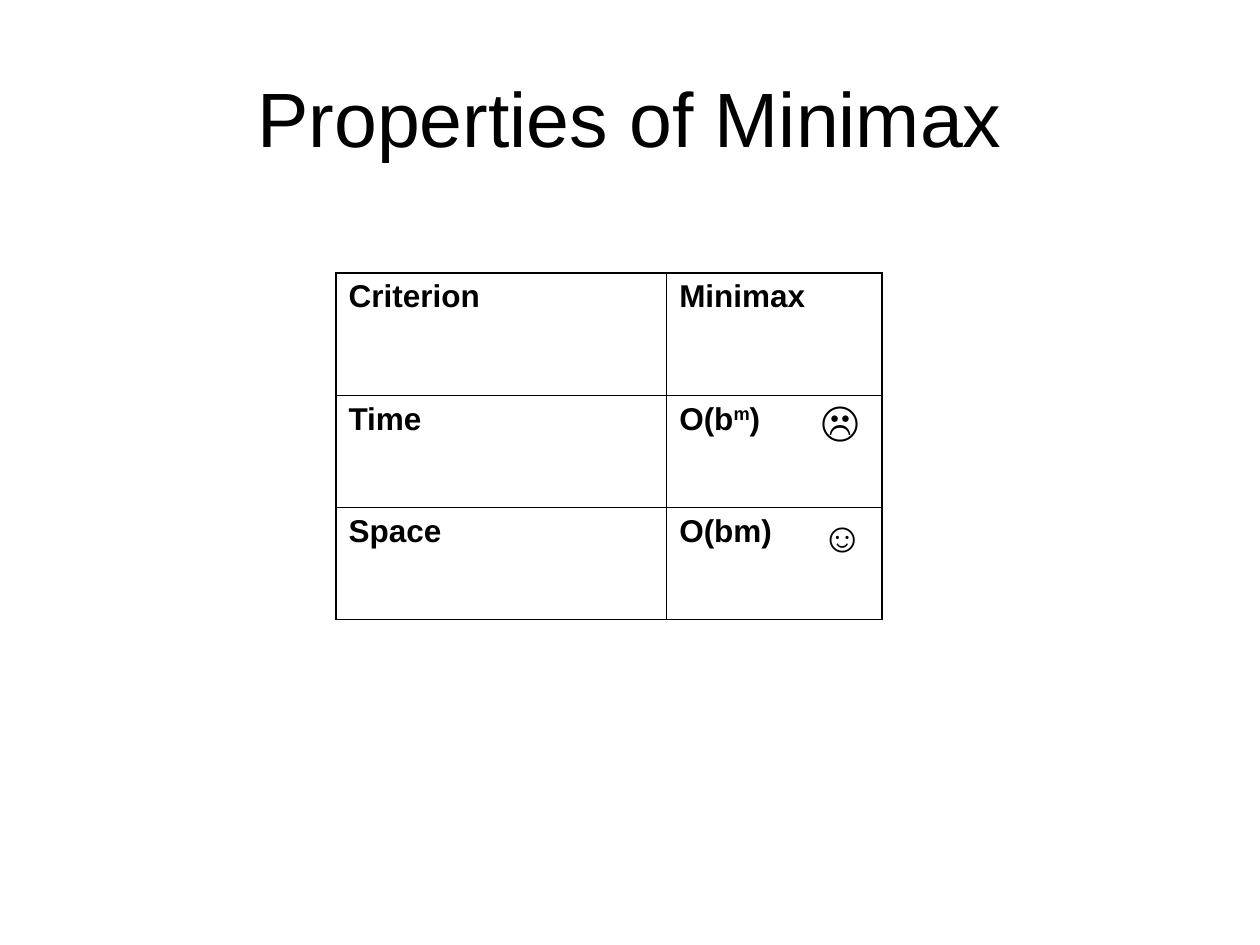
from lxml import etree
from pptx import Presentation
from pptx.dml.color import RGBColor
from pptx.enum import text
from pptx.oxml import ns
from pptx.util import Pt

BLACK = RGBColor(0, 0, 0)
WHITE = RGBColor(255, 255, 255)
THIN, THICK = 0.45, 1.08


class SlideBuilder:
    font = "Arial"

    def __init__(self, deck):
        self.page = deck.slides.add_slide(deck.slide_layouts[5])
        self.page.background.fill.solid()
        self.page.background.fill.fore_color.rgb = WHITE

    def span(self, para, wording, size, bold=False, baseline=0):
        span = para.add_run()
        span.text = wording
        span.font.name = self.font
        span.font.size = Pt(size)
        span.font.bold = bold
        span.font.color.rgb = BLACK
        if baseline:
            span.font._element.set("baseline", str(baseline * 1000))

    def place(self, box, left, top, width, height):
        box.left, box.top = Pt(left), Pt(top)
        box.width, box.height = Pt(width), Pt(height)

    def title(self, wording, *bounds):
        box = self.page.shapes.title
        self.place(box, *bounds)
        box.text_frame.vertical_anchor = text.MSO_ANCHOR.MIDDLE
        para = box.text_frame.paragraphs[0]
        para.alignment = text.PP_ALIGN.CENTER
        self.span(para, wording, 44)

    def border(self, cell, side, width):
        line = etree.SubElement(cell._tc.get_or_add_tcPr(), ns.qn(f"a:ln{side}"), w=str(Pt(width)))
        fill = etree.SubElement(line, ns.qn("a:solidFill"))
        etree.SubElement(fill, ns.qn("a:srgbClr"), val=str(BLACK))

    def table(self, rows, left, top, widths, heights):
        frame = self.page.shapes.add_table(
            len(heights), len(widths), Pt(left), Pt(top), Pt(sum(widths)), Pt(sum(heights)))
        table = frame.table
        table.first_row = table.horz_banding = False
        for column, width in zip(table.columns, widths):
            column.width = Pt(width)
        for row, height in zip(table.rows, heights):
            row.height = Pt(height)
        last_row, last_column = len(heights) - 1, len(widths) - 1
        for r, row in enumerate(rows):
            for c, spans in enumerate(row):
                cell = table.cell(r, c)
                outer = {"L": c == 0, "R": c == last_column, "T": r == 0, "B": r == last_row}
                for side, is_outer in outer.items():
                    self.border(cell, side, THICK if is_outer else THIN)
                cell.fill.background()
                for wording, baseline in spans:
                    self.span(cell.text_frame.paragraphs[0], wording, 18, True, baseline)

    def symbol(self, wording, *bounds):
        box = self.page.shapes.add_textbox(*map(Pt, bounds))
        box.text_frame.word_wrap = False
        box.text_frame.auto_size = text.MSO_AUTO_SIZE.SHAPE_TO_FIT_TEXT
        self.span(box.text_frame.paragraphs[0], wording, 24)


def main():
    deck = Presentation()
    deck.slide_width, deck.slide_height = Pt(720), Pt(540)
    builder = SlideBuilder(deck)
    builder.title("Properties of Minimax", 36, 21.6, 648, 90)
    properties = [
        [[("Criterion", 0)], [("Minimax", 0)]],
        [[("Time", 0)], [("O(b", 0), ("m", 30), (")", 0)]],
        [[("Space", 0)], [("O(bm)", 0)]],
    ]
    builder.table(properties, 192, 156, [189, 123], [70, 64, 64])
    for face, top in (("☺", 288), ("☹", 222)):
        builder.symbol(face, 462, top, 34.5, 36)
    deck.save("out.pptx")


if __name__ == "__main__":
    main()
